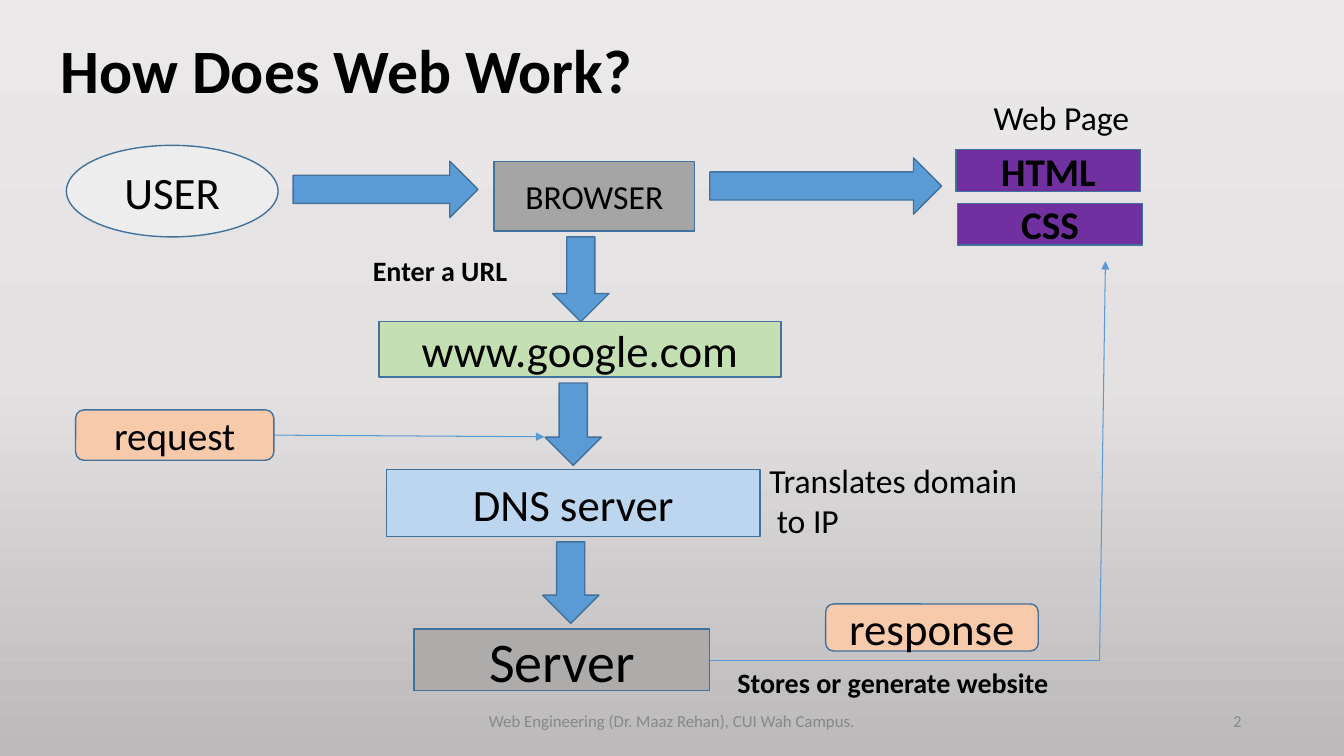
from dataclasses import dataclass

from lxml import etree
from pptx import Presentation
from pptx.dml.color import RGBColor
from pptx.enum.shapes import MSO_CONNECTOR, MSO_SHAPE
from pptx.enum.text import MSO_ANCHOR, MSO_AUTO_SIZE, PP_ALIGN
from pptx.oxml.ns import qn
from pptx.util import Inches, Pt

RECTANGLE = MSO_SHAPE.RECTANGLE
ROUNDED = MSO_SHAPE.ROUNDED_RECTANGLE
OVAL = MSO_SHAPE.OVAL
RIGHT_ARROW = MSO_SHAPE.RIGHT_ARROW
DOWN_ARROW = MSO_SHAPE.DOWN_ARROW
STRAIGHT = MSO_CONNECTOR.STRAIGHT
LEFT, CENTER, RIGHT = PP_ALIGN.LEFT, PP_ALIGN.CENTER, PP_ALIGN.RIGHT
TOP, MIDDLE = MSO_ANCHOR.TOP, MSO_ANCHOR.MIDDLE
NO_AUTOFIT = MSO_AUTO_SIZE.NONE

SLIDE_WIDTH, SLIDE_HEIGHT = Inches(13.33), Inches(7.5)
COLUMNS, ROWS = 160, 90


@dataclass(frozen=True)
class Theme:
    font: str = "Calibri"
    ink: str = "000000"
    muted: str = "888888"
    outline: str = "42719B"
    arrow: str = "5B9BD5"
    user: str = "EDEDED"
    browser: str = "A5A5A5"
    address: str = "C4E0B2"
    dns: str = "BBD6EE"
    server: str = "AEABAB"
    message: str = "F7CAAC"
    page: str = "7030A0"
    background: tuple = ((0, "EAE8E8"), (50, "E3E1E1"), (100, "BBB9B9"))
    title: int = 44
    huge: int = 40
    large: int = 32
    medium: int = 28
    label: int = 24
    note: int = 20
    footer: int = 12


THEME = Theme()


def column(count):
    return round(SLIDE_WIDTH * count / COLUMNS)


def row(count):
    return round(SLIDE_HEIGHT * count / ROWS)


def place(left, top, width, height):
    return column(left), row(top), column(width), row(height)


def color(value):
    return RGBColor.from_string(value)


def write_text(shape, text, size=THEME.label, ink=THEME.ink, bold=False,
               align=LEFT, anchor=TOP, line_spacing=None):
    """Fill a shape with text, one paragraph for each line."""
    frame = shape.text_frame
    frame.word_wrap = True
    frame.auto_size = NO_AUTOFIT
    frame.vertical_anchor = anchor
    frame.text = text
    for paragraph in frame.paragraphs:
        paragraph.alignment = align
        if line_spacing:
            paragraph.line_spacing = line_spacing
        for run in paragraph.runs:
            run.font.name = THEME.font
            run.font.size = Pt(size)
            run.font.bold = bold
            run.font.color.rgb = color(ink)


def add_block(slide, kind, grid, fill, text="", size=THEME.large, bold=False):
    shape = slide.shapes.add_shape(kind, *place(*grid))
    shape.shadow.inherit = False
    shape.fill.solid()
    shape.fill.fore_color.rgb = color(fill)
    shape.line.color.rgb = color(THEME.outline)
    shape.line.width = Pt(1)
    if text:
        write_text(shape, text, size=size, bold=bold, align=CENTER, anchor=MIDDLE)


def add_label(slide, grid, text, **text_format):
    label = slide.shapes.add_textbox(*place(*grid))
    write_text(label, text, **text_format)
    return label


def add_line(slide, start, end, arrowhead=True):
    line = slide.shapes.add_connector(
        STRAIGHT, column(start[0]), row(start[1]), column(end[0]), row(end[1]))
    line.line.color.rgb = color(THEME.arrow)
    line.line.width = Pt(0.75)
    if arrowhead:
        etree.SubElement(line.line._get_or_add_ln(), qn("a:tailEnd"), type="triangle")
    etree.SubElement(line._element.spPr, qn("a:effectLst"))


def set_background(slide):
    fill = slide.background.fill
    fill.gradient()
    fill.gradient_angle = 270
    stops = next(slide.element.iter(qn("a:gsLst")))
    for stop in list(stops):
        stops.remove(stop)
    for percent, value in THEME.background:
        stop = etree.SubElement(stops, qn("a:gs"), pos=str(percent * 1000))
        etree.SubElement(stop, qn("a:srgbClr"), val=value)


def set_title(slide, grid, text):
    title = slide.shapes.title
    title.left, title.top, title.width, title.height = place(*grid)
    write_text(title, text, size=THEME.title, bold=True, anchor=MIDDLE,
               line_spacing=0.9)


def main():
    presentation = Presentation()
    presentation.slide_width = SLIDE_WIDTH
    presentation.slide_height = SLIDE_HEIGHT
    slide = presentation.slides.add_slide(presentation.slide_layouts[5])
    set_background(slide)
    set_title(slide, (6, 0, 138, 17.4), "How Does Web Work?")

    # Stations on the way from the user to the server
    add_block(slide, OVAL, (7.9, 17.3, 25.2, 10.9), THEME.user, "USER")
    add_block(slide, RECTANGLE, (58.8, 19.2, 23.9, 8.3), THEME.browser, "BROWSER",
              size=THEME.label)
    add_block(slide, RECTANGLE, (45.1, 38.3, 47.9, 6.6), THEME.address,
              "www.google.com")
    add_block(slide, RECTANGLE, (46, 55.9, 44.5, 8), THEME.dns, "DNS server")
    add_block(slide, RECTANGLE, (49.3, 74.9, 35.2, 7.3), THEME.server, "Server",
              size=THEME.huge)

    # Messages
    add_block(slide, ROUNDED, (9, 48.8, 23.6, 6), THEME.message, "request",
              size=THEME.medium)
    add_block(slide, ROUNDED, (98.3, 71.9, 25.3, 5.6), THEME.message, "response")

    # Web page parts
    for left, top, text in ((113.8, 17.8, "HTML"), (114, 24.2, "CSS")):
        add_block(slide, RECTANGLE, (left, top, 22, 5), THEME.page, text,
                  size=THEME.medium, bold=True)

    # Block arrows
    for left, top, width in ((34.9, 19.2, 22), (84.5, 18.8, 27.6)):
        add_block(slide, RIGHT_ARROW, (left, top, width, 6.7), THEME.arrow)
    for left, top, height in ((65.8, 28.2, 10.1), (64.9, 45.6, 9.8), (64.6, 64.5, 9.7)):
        add_block(slide, DOWN_ARROW, (left, top, 6.7, height), THEME.arrow)

    # Request line, and response line back to the web page
    response_corner = (130.9, 78.6)
    add_line(slide, (32.7, 51.8), (64.8, 52))
    add_line(slide, (84.5, 78.6), response_corner, arrowhead=False)
    add_line(slide, response_corner, (131.6, 31.1))

    # Labels
    add_label(slide, (117.1, 11, 20, 6), "Web Page")
    add_label(slide, (43.2, 29.6, 20, 5.3), "Enter a URL", size=THEME.note, bold=True)
    add_label(slide, (86.6, 78.6, 41, 5.3), "Stores or generate website",
              size=THEME.note, bold=True)
    translation = add_label(slide, (90.4, 54.1, 32.2, 10.9), "Translates domain\nto IP")
    second_line = translation.text_frame.paragraphs[1]
    second_line._p.get_or_add_pPr().set("marL", str(column(0.9)))

    # Footer
    add_label(slide, (53, 83.4, 54, 4.8),
              "Web Engineering (Dr. Maaz Rehan), CUI Wah Campus.",
              size=THEME.footer, ink=THEME.muted, align=CENTER, anchor=MIDDLE)
    add_label(slide, (113, 83.4, 36, 4.8), "2", size=THEME.footer,
              ink=THEME.muted, align=RIGHT, anchor=MIDDLE)

    presentation.save("out.pptx")


if __name__ == "__main__":
    main()
